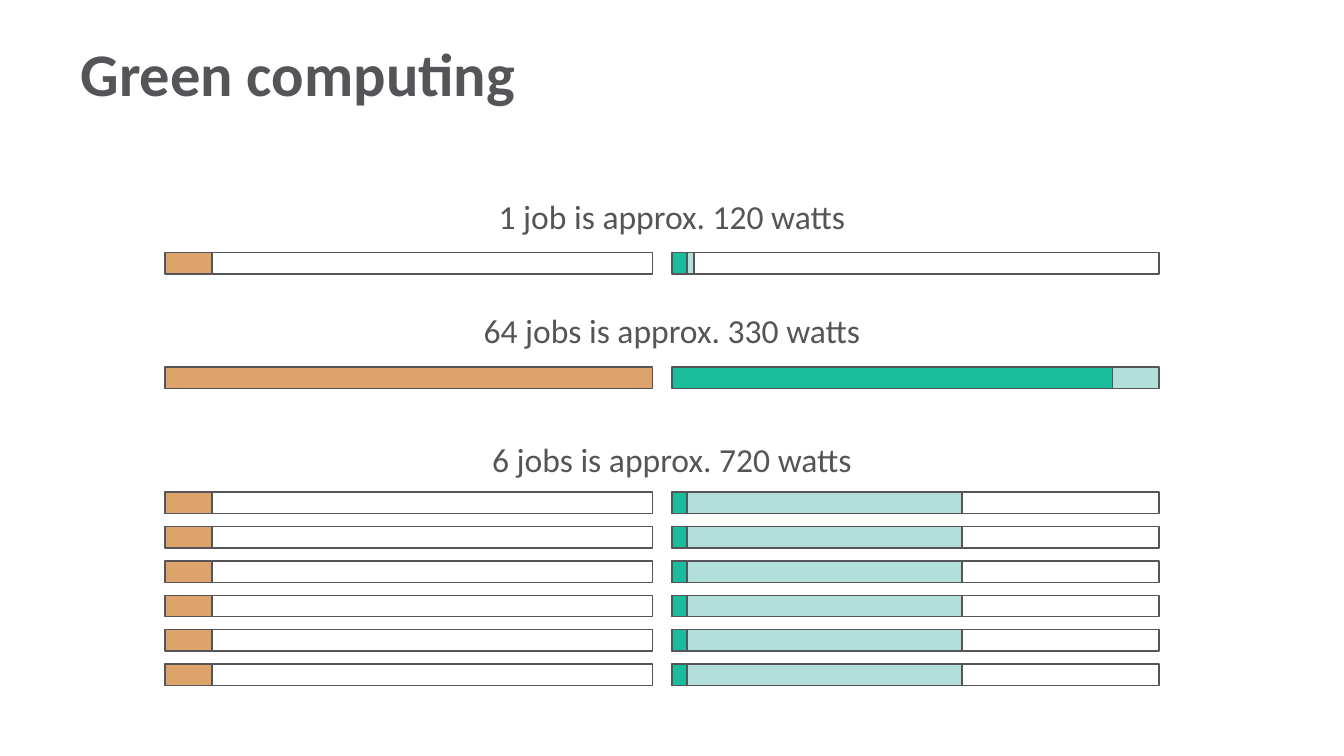
from pptx import Presentation
from pptx.dml.color import RGBColor
from pptx.enum import shapes, text
from pptx.util import Pt

COLORS = {
    "ink": "555559",
    "orange": "DEA36A",
    "green": "1ABC9C",
    "mint": "B2DFD9",
    "white": "FFFFFF",
}
FONT = "Calibri"
BAR_WIDTH, BAR_HEIGHT, ROW_PITCH = 261, 11.5, 18.4
BAR_LEFTS = (88.5, 360)
ONE_JOB_LEFT = [("orange", 0, 25), ("white", 25, BAR_WIDTH)]

GROUPS = [
    {
        "label": "1 job is approx. 120 watts",
        "box": (258.5, 101.5, 203, 28.8),
        "bar_top": 135.4,
        "rows": 1,
        "bars": (
            ONE_JOB_LEFT,
            [("green", 0, 8), ("white", 8, BAR_WIDTH), ("mint", 8, 11.8)],
        ),
    },
    {
        "label": "64 jobs is approx. 330 watts",
        "box": (250.5, 162.7, 219, 28.8),
        "bar_top": 196.6,
        "rows": 1,
        "bars": (
            [("orange", 0, BAR_WIDTH)],
            [("green", 0, 236), ("mint", 236, BAR_WIDTH)],
        ),
    },
    {
        "label": "6 jobs is approx. 720 watts",
        "box": (255, 231.5, 210, 28.8),
        "bar_top": 263.7,
        "rows": 6,
        "bars": (
            ONE_JOB_LEFT,
            [("mint", 0, 155.3), ("white", 155.3, BAR_WIDTH), ("green", 0, 8)],
        ),
    },
]


def color(name):
    """Return the named colour."""
    return RGBColor.from_string(COLORS[name])


def write(paragraph, words, size, bold=False):
    """Add one formatted run to a paragraph."""
    run = paragraph.add_run()
    run.text = words
    run.font.name = FONT
    run.font.size = Pt(size)
    run.font.bold = bold
    run.font.color.rgb = color("ink")


def place_title(slide, words, left, top, width, height):
    """Move and format the title placeholder."""
    title = slide.shapes.title
    title.left, title.top = Pt(left), Pt(top)
    title.width, title.height = Pt(width), Pt(height)
    frame = title.text_frame
    frame.vertical_anchor = text.MSO_ANCHOR.MIDDLE
    frame.auto_size = text.MSO_AUTO_SIZE.NONE
    paragraph = frame.paragraphs[0]
    paragraph.alignment = text.PP_ALIGN.LEFT
    write(paragraph, words, 32.4, bold=True)


def draw_label(parent, words, left, top, width, height):
    """Draw a centred caption that keeps to one line."""
    label = parent.shapes.add_textbox(Pt(left), Pt(top), Pt(width), Pt(height))
    frame = label.text_frame
    frame.word_wrap = False
    frame.auto_size = text.MSO_AUTO_SIZE.SHAPE_TO_FIT_TEXT
    paragraph = frame.paragraphs[0]
    paragraph.alignment = text.PP_ALIGN.CENTER
    write(paragraph, words, 18)


def draw_bar(parent, segments, left, top, height):
    """Draw the segments of one bar, from back to front."""
    for fill, start, end in segments:
        shape = parent.shapes.add_shape(
            shapes.MSO_SHAPE.RECTANGLE,
            Pt(left + start), Pt(top), Pt(end - start), Pt(height),
        )
        shape.shadow.inherit = False
        shape.fill.solid()
        shape.fill.fore_color.rgb = color(fill)
        shape.line.color.rgb = color("ink")
        shape.line.width = Pt(0.75)


def draw_group(slide, label, box, bar_top, rows, bars):
    """Draw a caption and its rows of paired bars as one group."""
    group = slide.shapes.add_group_shape()
    draw_label(group, label, *box)
    for row in range(rows):
        for left, segments in zip(BAR_LEFTS, bars):
            draw_bar(group, segments, left, bar_top + row * ROW_PITCH, BAR_HEIGHT)


def main():
    """Build and save the presentation."""
    presentation = Presentation()
    presentation.slide_width, presentation.slide_height = Pt(720), Pt(405)
    slide = presentation.slides.add_slide(presentation.slide_layouts[5])
    place_title(slide, "Green computing", 36, 17.3, 580, 43.2)
    for group in GROUPS:
        draw_group(slide, **group)
    presentation.save("out.pptx")


if __name__ == "__main__":
    main()
